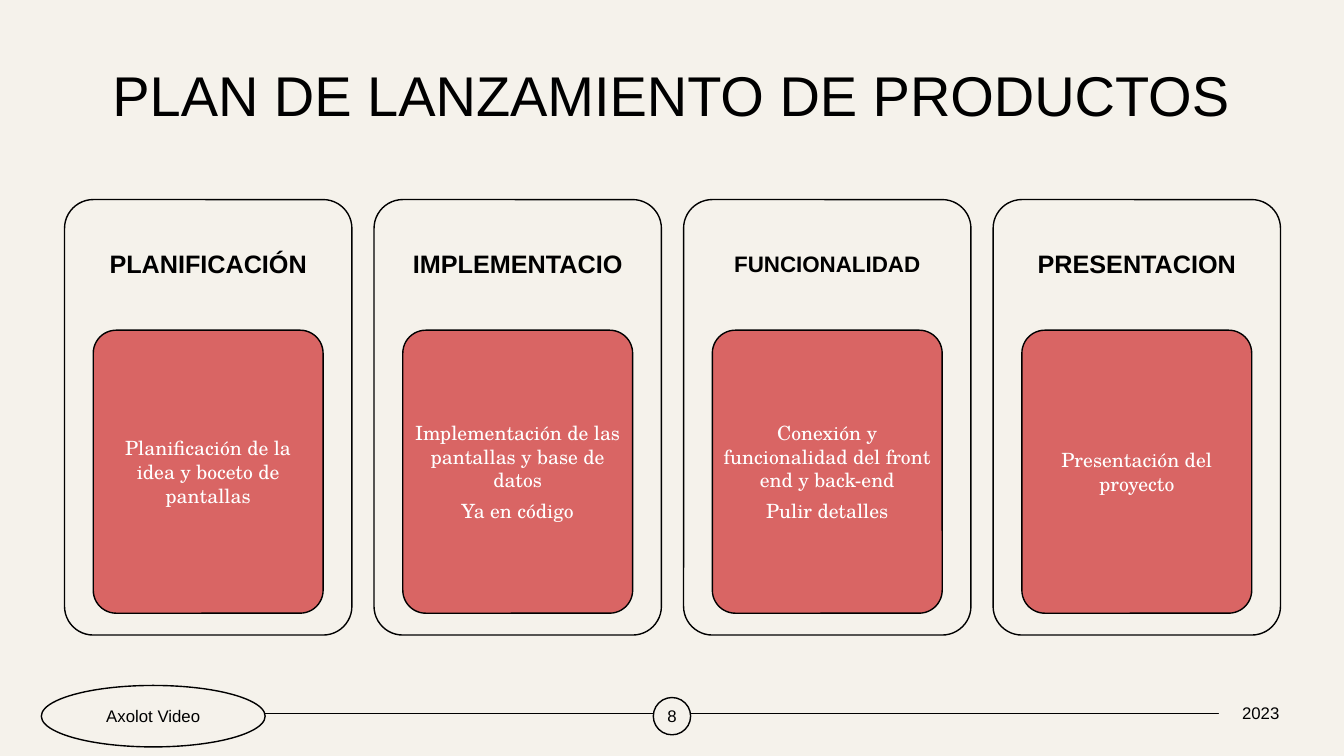
"""Builds the product launch plan slide: four phase cards above a footer line."""
from dataclasses import dataclass

import pptx
import pptx.dml.color
import pptx.enum.shapes
import pptx.enum.text
import pptx.oxml.xmlchemy
import pptx.shapes.autoshape
import pptx.slide
import pptx.text.text
import pptx.util

Inches = pptx.util.Inches
Pt = pptx.util.Pt
RGB = pptx.dml.color.RGBColor
Preset = pptx.enum.shapes.MSO_SHAPE


@dataclass(frozen=True)
class Theme:
    paper: RGB = RGB.from_string("F5F2EB")
    ink: RGB = RGB.from_string("000000")
    coral: RGB = RGB.from_string("D96564")
    white: RGB = RGB.from_string("FFFFFF")
    sans: str = "Arial"
    serif: str = "TeX Gyre Schola"
    title: int = 40
    heading: int = 18
    small_heading: int = 16
    body: int = 14
    footer: int = 12
    outline: float = 1


@dataclass(frozen=True)
class Box:
    left: float
    top: float
    width: float
    height: float

    def lengths(self) -> tuple[int, ...]:
        return tuple(Inches(v) for v in (self.left, self.top, self.width, self.height))


@dataclass(frozen=True)
class CardGrid:
    left: float = 0.64
    top: float = 1.98
    pitch: float = 3.07
    width: float = 2.85
    height: float = 4.32
    heading_share: float = 0.3
    body_share: float = 0.65
    inner_share: float = 0.8

    def frame(self, column: int) -> Box:
        return Box(self.left + column * self.pitch, self.top, self.width, self.height)

    def heading(self, column: int) -> Box:
        return Box(self.frame(column).left, self.top, self.width, self.height * self.heading_share)

    def body(self, column: int) -> Box:
        margin = self.width * (1 - self.inner_share) / 2
        return Box(
            self.frame(column).left + margin,
            self.top + self.height * self.heading_share,
            self.width * self.inner_share,
            self.height * self.body_share,
        )


@dataclass(frozen=True)
class Phase:
    heading: str
    steps: tuple[str, ...]
    heading_size: int


@dataclass(frozen=True)
class FooterMark:
    text: str
    preset: Preset
    box: Box
    outlined: bool = True


THEME = Theme()
GRID = CardGrid()
TITLE_BOX = Box(0.64, 0.59, 12.03, 0.78)
FOOTER_LINE = (0.62, 12.67, 7.08)

TITLE_FONT = {"name": THEME.sans, "size": Pt(THEME.title), "bold": False}
BODY_FONT = {"name": THEME.serif, "size": Pt(THEME.body)}
FOOTER_FONT = {"name": THEME.sans, "size": Pt(THEME.footer)}

PHASES = (
    Phase("PLANIFICACIÓN", ("Planificación de la idea y boceto de pantallas",), THEME.heading),
    Phase("IMPLEMENTACIO", ("Implementación de las pantallas y base de datos", "Ya en código"), THEME.heading),
    Phase("FUNCIONALIDAD", ("Conexión y funcionalidad del front end y back-end", "Pulir detalles"), THEME.small_heading),
    Phase("PRESENTACION", ("Presentación del proyecto",), THEME.heading),
)

FOOTER_MARKS = (
    FooterMark("8", Preset.OVAL, Box(6.48, 6.92, 0.37, 0.37)),
    FooterMark("2023", Preset.RECTANGLE, Box(12.09, 6.92, 0.83, 0.3), outlined=False),
    FooterMark("Axolot Video", Preset.OVAL, Box(0.41, 6.8, 2.22, 0.61)),
)


def write(
    frame: pptx.text.text.TextFrame,
    lines: tuple[str, ...],
    font: dict[str, object],
    color: RGB,
    margin: float,
    spacing: float = 1.0,
) -> None:
    frame_format = dict.fromkeys(("margin_left", "margin_right", "margin_top", "margin_bottom"), Inches(margin))
    frame_format |= {"word_wrap": True, "vertical_anchor": pptx.enum.text.MSO_ANCHOR.MIDDLE}
    for attribute, value in frame_format.items():
        setattr(frame, attribute, value)
    for index, line in enumerate(lines):
        paragraph = frame.paragraphs[0] if index == 0 else frame.add_paragraph()
        paragraph_format = {
            "alignment": pptx.enum.text.PP_ALIGN.CENTER,
            "line_spacing": spacing,
            "space_before": Pt(5 if index else 0),
        }
        for attribute, value in paragraph_format.items():
            setattr(paragraph, attribute, value)
        run = paragraph.add_run()
        run.text = line
        for attribute, value in font.items():
            setattr(run.font, attribute, value)
        run.font.color.rgb = color


def add_panel(
    slide: pptx.slide.Slide, preset: Preset, box: Box, fill: RGB, outlined: bool = True
) -> pptx.shapes.autoshape.Shape:
    panel = slide.shapes.add_shape(preset, *box.lengths())
    panel.shadow.inherit = False
    panel.fill.solid()
    panel.fill.fore_color.rgb = fill
    if outlined:
        panel.line.color.rgb = THEME.ink
        panel.line.width = Pt(THEME.outline)
    else:
        panel.line.fill.background()
    if preset == Preset.ROUNDED_RECTANGLE:
        panel.adjustments[0] = 0.1
    return panel


def add_title(slide: pptx.slide.Slide) -> None:
    title = slide.shapes.title
    title.left, title.top, title.width, title.height = TITLE_BOX.lengths()
    write(title.text_frame, ("PLAN DE LANZAMIENTO DE PRODUCTOS",), TITLE_FONT, THEME.ink, 0.05, 0.9)


def add_phase(slide: pptx.slide.Slide, column: int, phase: Phase) -> None:
    add_panel(slide, Preset.ROUNDED_RECTANGLE, GRID.frame(column), THEME.paper)
    heading = slide.shapes.add_textbox(*GRID.heading(column).lengths())
    heading_font = {"name": THEME.sans, "size": Pt(phase.heading_size), "bold": True}
    write(heading.text_frame, (phase.heading,), heading_font, THEME.ink, 0.07, 0.9)
    steps = add_panel(slide, Preset.ROUNDED_RECTANGLE, GRID.body(column), THEME.coral)
    write(steps.text_frame, phase.steps, BODY_FONT, THEME.white, 0.04)


def add_footer(slide: pptx.slide.Slide) -> None:
    start, end, height = map(Inches, FOOTER_LINE)
    rule = slide.shapes.add_connector(pptx.enum.shapes.MSO_CONNECTOR.STRAIGHT, start, height, end, height)
    rule.line.color.rgb = THEME.ink
    rule.line.width = Pt(THEME.outline)
    rule._element.spPr.append(pptx.oxml.xmlchemy.OxmlElement("a:effectLst"))
    for mark in FOOTER_MARKS:
        panel = add_panel(slide, mark.preset, mark.box, THEME.paper, mark.outlined)
        write(panel.text_frame, (mark.text,), FOOTER_FONT, THEME.ink, 0)


def main() -> None:
    deck = pptx.Presentation()
    deck.slide_width, deck.slide_height = Inches(13.33), Inches(7.5)
    slide = deck.slides.add_slide(deck.slide_layouts.get_by_name("Title Only"))
    slide.background.fill.solid()
    slide.background.fill.fore_color.rgb = THEME.paper
    add_title(slide)
    for column, phase in enumerate(PHASES):
        add_phase(slide, column, phase)
    add_footer(slide)
    deck.save("out.pptx")


if __name__ == "__main__":
    main()
